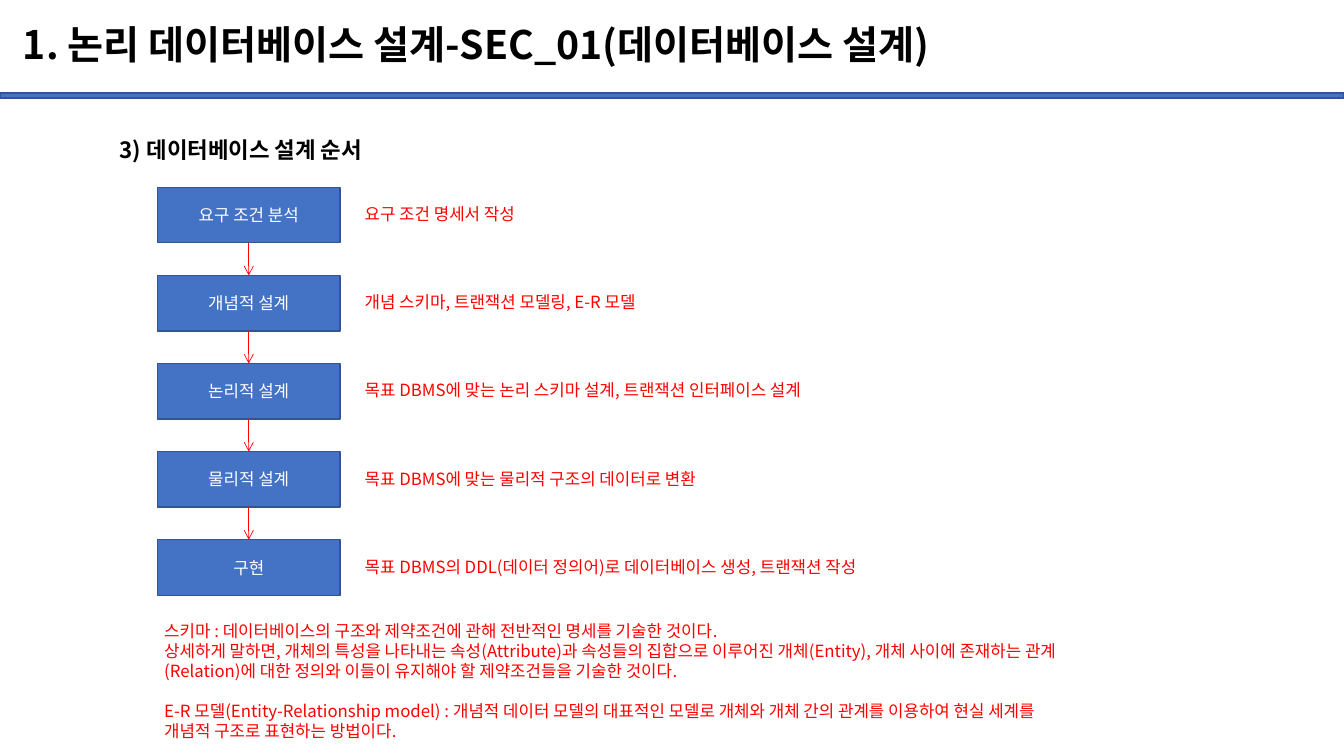
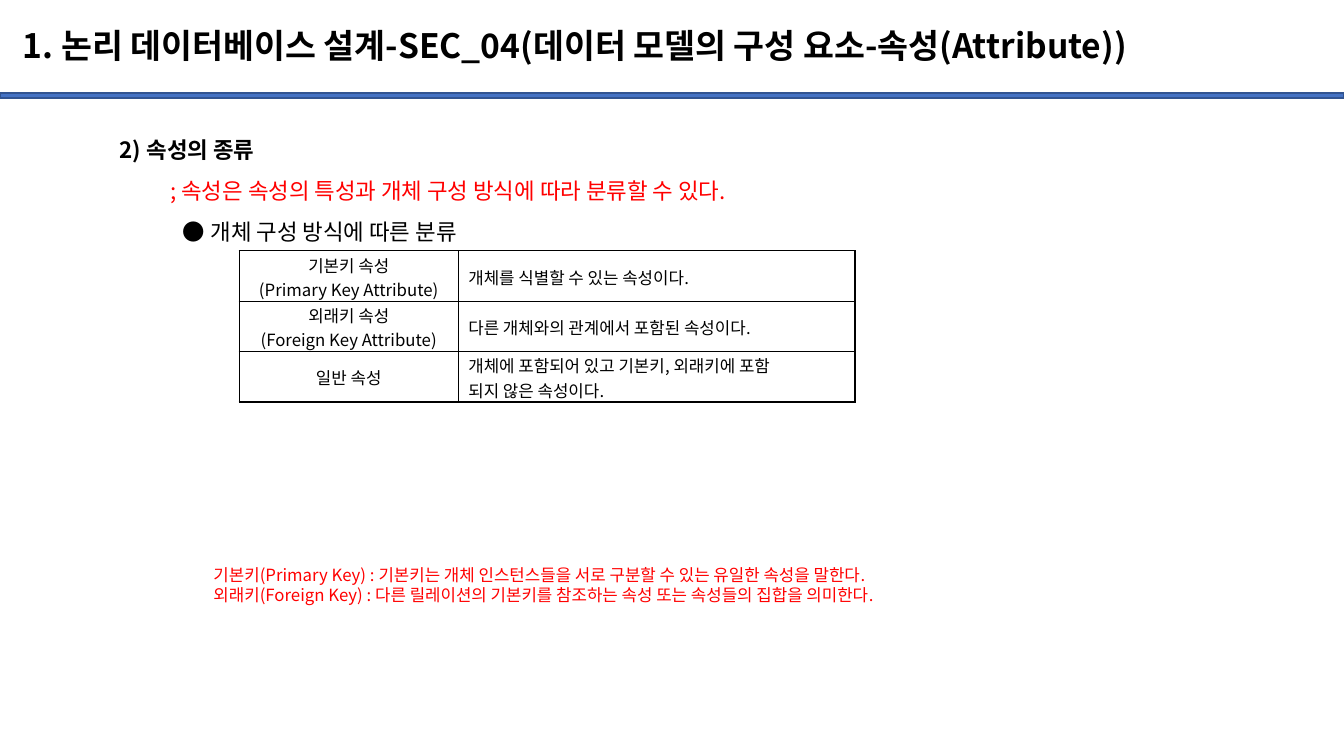
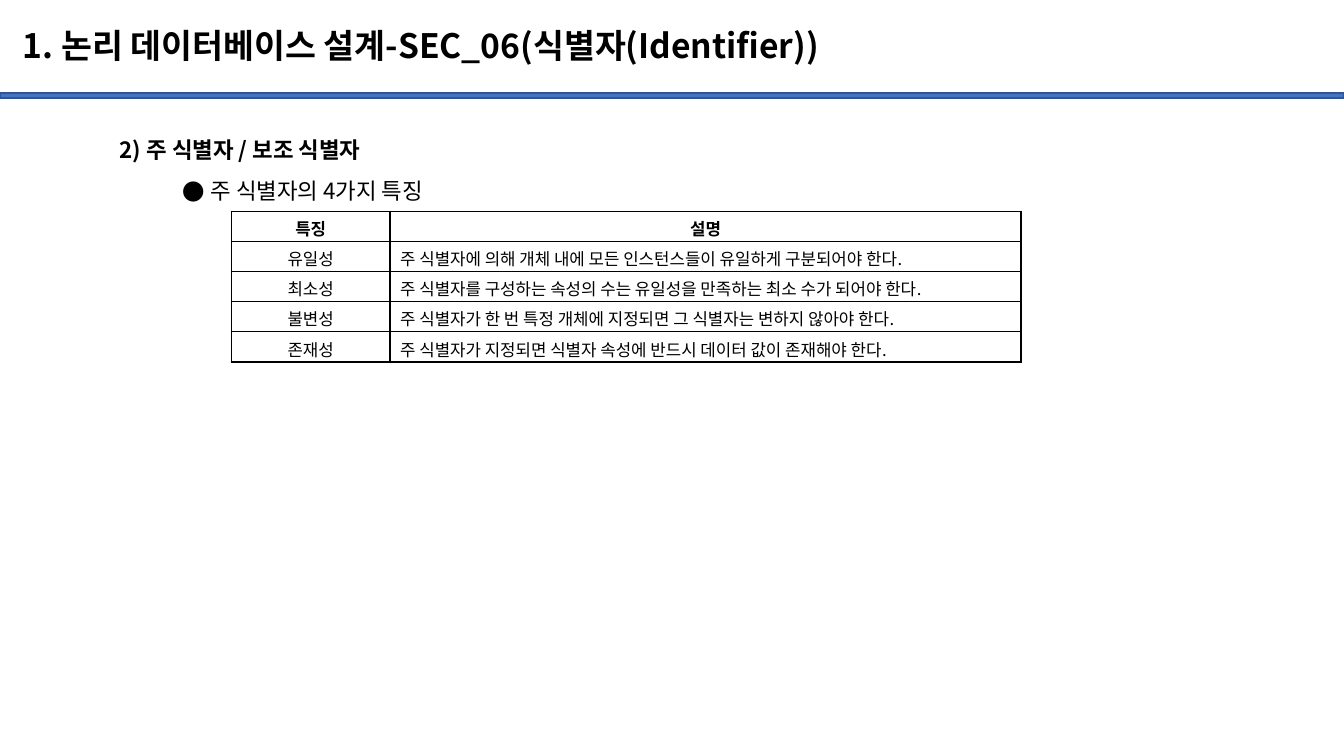
from lxml import etree
from pptx import Presentation
from pptx import util as u
from pptx.dml import color as dml
from pptx.enum import shapes, text
from pptx.oxml import ns

FONT = "Noto Sans CJK KR"
COLORS = {
    "blue": "4472C4",
    "navy": "325491",
    "red": "FF0000",
    "black": "000000",
    "white": "FFFFFF",
}
LEFT, CENTER = text.PP_ALIGN.LEFT, text.PP_ALIGN.CENTER
TOP, MIDDLE = text.MSO_ANCHOR.TOP, text.MSO_ANCHOR.MIDDLE
NOTE_PITCH, BODY_PITCH, CELL_PITCH = u.Pt(14.3), u.Pt(29), u.Pt(17.2)


def rgb(name):
    return dml.RGBColor.from_string(COLORS[name])


def add_element(parent, tag, **attributes):
    return etree.SubElement(parent, ns.qn(tag), **attributes)


def write(frame, content, size=12, color="black", bold=False, align=LEFT,
          pitch=NOTE_PITCH, before=0, indent=0, bullet=None):
    paragraph = frame.paragraphs[-1]
    if paragraph.runs:
        paragraph = frame.add_paragraph()
    properties = paragraph._p.get_or_add_pPr()
    if bullet:
        add_element(properties, "a:buFont", typeface=FONT)
        add_element(properties, "a:buChar", char=bullet)
    hanging = u.Cm(0.71) if bullet else 0
    properties.set("marL", str(u.Cm(indent) + hanging))
    properties.set("indent", str(-hanging))
    paragraph.alignment = align
    paragraph.line_spacing = pitch
    if before:
        paragraph.space_before = u.Pt(before)
    run = paragraph.add_run()
    run.text = content
    run.font.size = u.Pt(size)
    run.font.bold = bold
    run.font.color.rgb = rgb(color)
    run.font.name = FONT
    add_element(run._r.get_or_add_rPr(), "a:ea", typeface=FONT)


class Deck:
    def __init__(self):
        self.presentation = Presentation()
        self.presentation.slide_width = u.Cm(33.87)
        self.presentation.slide_height = u.Cm(19.05)
        self.slide = None

    def new_slide(self, title, size=24):
        self.slide = self.presentation.slides.add_slide(
            self.presentation.slide_layouts[6])
        self.box(0, 2.34, 33.87, 0.13)
        frame = self.text_box(0.33, 0.25, 32.2, 1.88, anchor=MIDDLE)
        write(frame, title, size=size, bold=True, pitch=0.9)

    def box(self, left, top, width, height):
        shape = self.slide.shapes.add_shape(
            shapes.MSO_SHAPE.RECTANGLE,
            u.Cm(left), u.Cm(top), u.Cm(width), u.Cm(height))
        shape.shadow.inherit = False
        shape.fill.solid()
        shape.fill.fore_color.rgb = rgb("blue")
        shape.line.color.rgb = rgb("navy")
        shape.line.width = u.Pt(1)
        return shape

    def step(self, left, top, width, height, label):
        shape = self.box(left, top, width, height)
        shape.text_frame.vertical_anchor = MIDDLE
        write(shape.text_frame, label, color="white", align=CENTER)
        return shape

    def arrow(self, upper, lower):
        connector = self.slide.shapes.add_connector(
            shapes.MSO_CONNECTOR.STRAIGHT, 0, 0, 0, 0)
        connector.begin_connect(upper, 2)
        connector.end_connect(lower, 0)
        connector.line.color.rgb = rgb("red")
        connector.line.width = u.Pt(0.5)
        add_element(connector.line._get_or_add_ln(), "a:tailEnd", type="arrow")
        add_element(connector._element.spPr, "a:effectLst")

    def text_box(self, left, top, width, height, anchor=TOP):
        shape = self.slide.shapes.add_textbox(
            u.Cm(left), u.Cm(top), u.Cm(width), u.Cm(height))
        shape.text_frame.word_wrap = True
        shape.text_frame.vertical_anchor = anchor
        return shape.text_frame

    def body(self, heading, height):
        frame = self.text_box(2.77, 2.97, 29.77, height)
        write(frame, heading, size=16, bold=True, pitch=BODY_PITCH)
        return frame

    def bullet(self, frame, content):
        write(frame, content, size=16, pitch=BODY_PITCH, indent=1.58, bullet="●")

    def table(self, left, top, widths, row_height, rows, margin_top, header=False):
        table = self.slide.shapes.add_table(
            len(rows), len(widths), u.Cm(left), u.Cm(top),
            u.Cm(sum(widths)), u.Cm(row_height * len(rows))).table
        table.first_row = header
        table.horz_banding = False
        for column, width in zip(table.columns, widths):
            column.width = u.Cm(width)
        for row_index, row in enumerate(rows):
            table.rows[row_index].height = u.Cm(row_height)
            for column_index, content in enumerate(row):
                is_header = header and row_index == 0
                cell = table.cell(row_index, column_index)
                cell.margin_top, cell.margin_bottom = u.Cm(margin_top), 0
                cell.vertical_anchor = MIDDLE
                for line in content.split("\n"):
                    write(cell.text_frame, line, bold=is_header, pitch=CELL_PITCH,
                          align=CENTER if is_header or column_index == 0 else LEFT)
                self.cell_borders(cell)

    def cell_borders(self, cell):
        properties = cell._tc.get_or_add_tcPr()
        for side in "LRTB":
            line = add_element(properties, f"a:ln{side}", w=str(u.Pt(1)))
            fill = add_element(line, "a:solidFill")
            add_element(fill, "a:srgbClr", val=COLORS["black"])
        cell.fill.background()


def design_order_slide(deck):
    deck.new_slide("1. 논리 데이터베이스 설계-SEC_01(데이터베이스 설계)", size=28)
    deck.body("3) 데이터베이스 설계 순서", 2.31)
    steps = [
        ("요구 조건 분석", "요구 조건 명세서 작성"),
        ("개념적 설계", "개념 스키마, 트랜잭션 모델링, E-R 모델"),
        ("논리적 설계", "목표 DBMS에 맞는 논리 스키마 설계, 트랜잭션 인터페이스 설계"),
        ("물리적 설계", "목표 DBMS에 맞는 물리적 구조의 데이터로 변환"),
        ("구현", "목표 DBMS의 DDL(데이터 정의어)로 데이터베이스 생성, 트랜잭션 작성"),
    ]
    previous = None
    for index, (label, result) in enumerate(steps):
        top = 4.72 + 2.22 * index
        step = deck.step(3.97, top, 4.6, 1.4, label)
        write(deck.text_box(8.94, top + 0.3, 17.2, 0.77), result, color="red")
        if previous:
            deck.arrow(previous, step)
        previous = step
    notes = deck.text_box(3.89, 15.52, 23.65, 3.33)
    write(notes, "스키마 : 데이터베이스의 구조와 제약조건에 관해 전반적인 명세를 기술한 것이다.",
          color="red")
    write(notes, "상세하게 말하면, 개체의 특성을 나타내는 속성(Attribute)과 속성들의 집합으로 "
          "이루어진 개체(Entity), 개체 사이에 존재하는 관계(Relation)에 대한 정의와 이들이 "
          "유지해야 할 제약조건들을 기술한 것이다.", color="red")
    write(notes, "E-R 모델(Entity-Relationship model) : 개념적 데이터 모델의 대표적인 모델로 "
          "개체와 개체 간의 관계를 이용하여 현실 세계를 개념적 구조로 표현하는 방법이다.",
          color="red", before=14.3)


def attribute_slide(deck):
    deck.new_slide("1. 논리 데이터베이스 설계-SEC_04(데이터 모델의 구성 요소-속성(Attribute))")
    body = deck.body("2) 속성의 종류", 3.33)
    write(body, "; 속성은 속성의 특성과 개체 구성 방식에 따라 분류할 수 있다.",
          size=16, color="red", pitch=BODY_PITCH, indent=1.27)
    deck.bullet(body, "개체 구성 방식에 따른 분류")
    deck.table(6.03, 6.32, [5.52, 10], 1.27, [
        ("기본키 속성\n(Primary Key Attribute)", "개체를 식별할 수 있는 속성이다."),
        ("외래키 속성\n(Foreign Key Attribute)", "다른 개체와의 관계에서 포함된 속성이다."),
        ("일반 속성", "개체에 포함되어 있고 기본키, 외래키에 포함\n되지 않은 속성이다."),
    ], margin_top=0.05)
    notes = deck.text_box(5.13, 14.12, 24.61, 1.27)
    write(notes, "기본키(Primary Key) : 기본키는 개체 인스턴스들을 서로 구분할 수 있는 "
          "유일한 속성을 말한다.", color="red")
    write(notes, "외래키(Foreign Key) : 다른 릴레이션의 기본키를 참조하는 속성 또는 속성들의 "
          "집합을 의미한다.", color="red")


def identifier_slide(deck):
    deck.new_slide("1. 논리 데이터베이스 설계-SEC_06(식별자(Identifier))")
    body = deck.body("2) 주 식별자 / 보조 식별자", 2.31)
    deck.bullet(body, "주 식별자의 4가지 특징")
    deck.table(5.83, 5.32, [4, 15.9], 0.76, [
        ("특징", "설명"),
        ("유일성", "주 식별자에 의해 개체 내에 모든 인스턴스들이 유일하게 구분되어야 한다."),
        ("최소성", "주 식별자를 구성하는 속성의 수는 유일성을 만족하는 최소 수가 되어야 한다."),
        ("불변성", "주 식별자가 한 번 특정 개체에 지정되면 그 식별자는 변하지 않아야 한다."),
        ("존재성", "주 식별자가 지정되면 식별자 속성에 반드시 데이터 값이 존재해야 한다."),
    ], margin_top=0.1, header=True)


def main():
    deck = Deck()
    design_order_slide(deck)
    attribute_slide(deck)
    identifier_slide(deck)
    deck.presentation.save("out.pptx")


if __name__ == "__main__":
    main()
